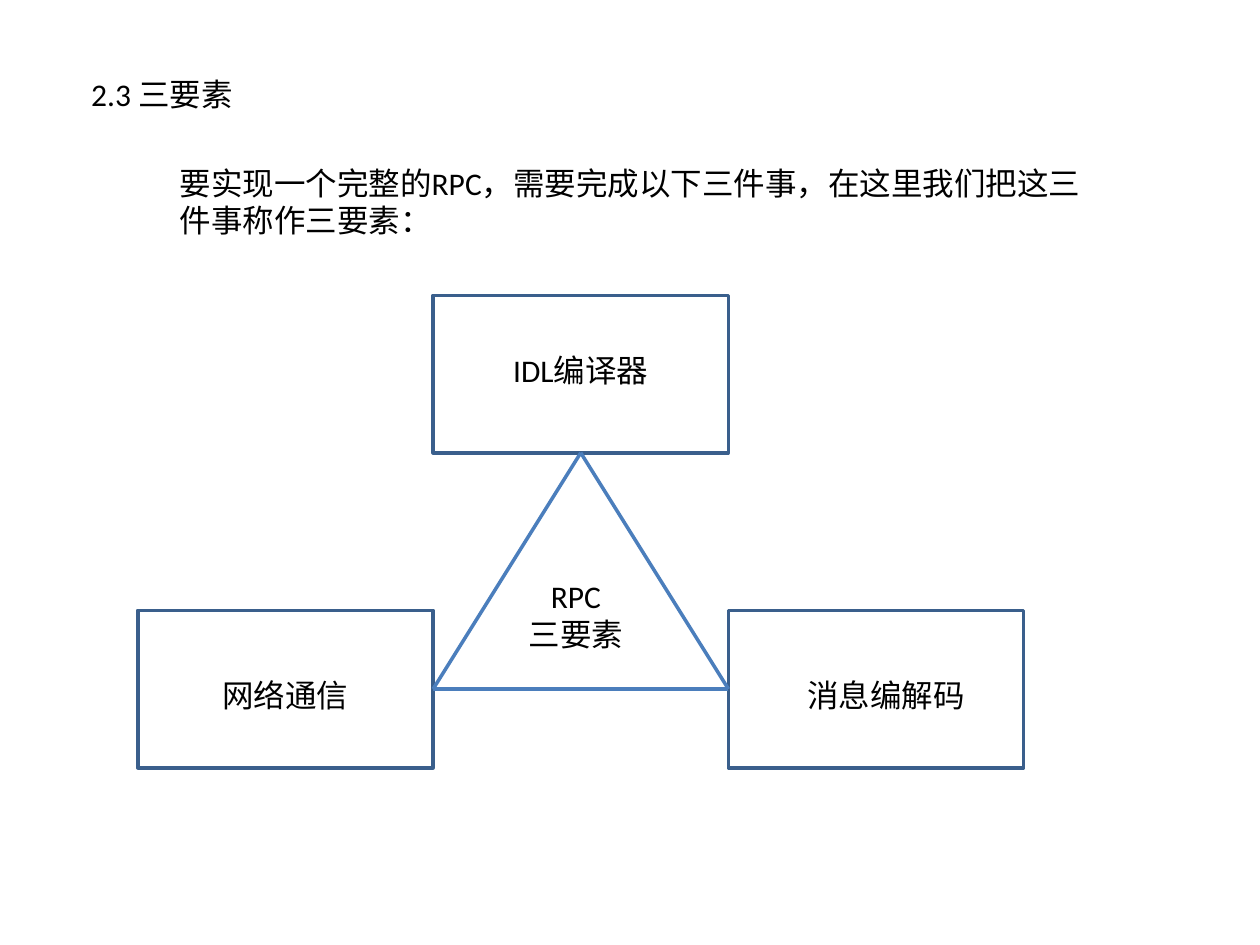
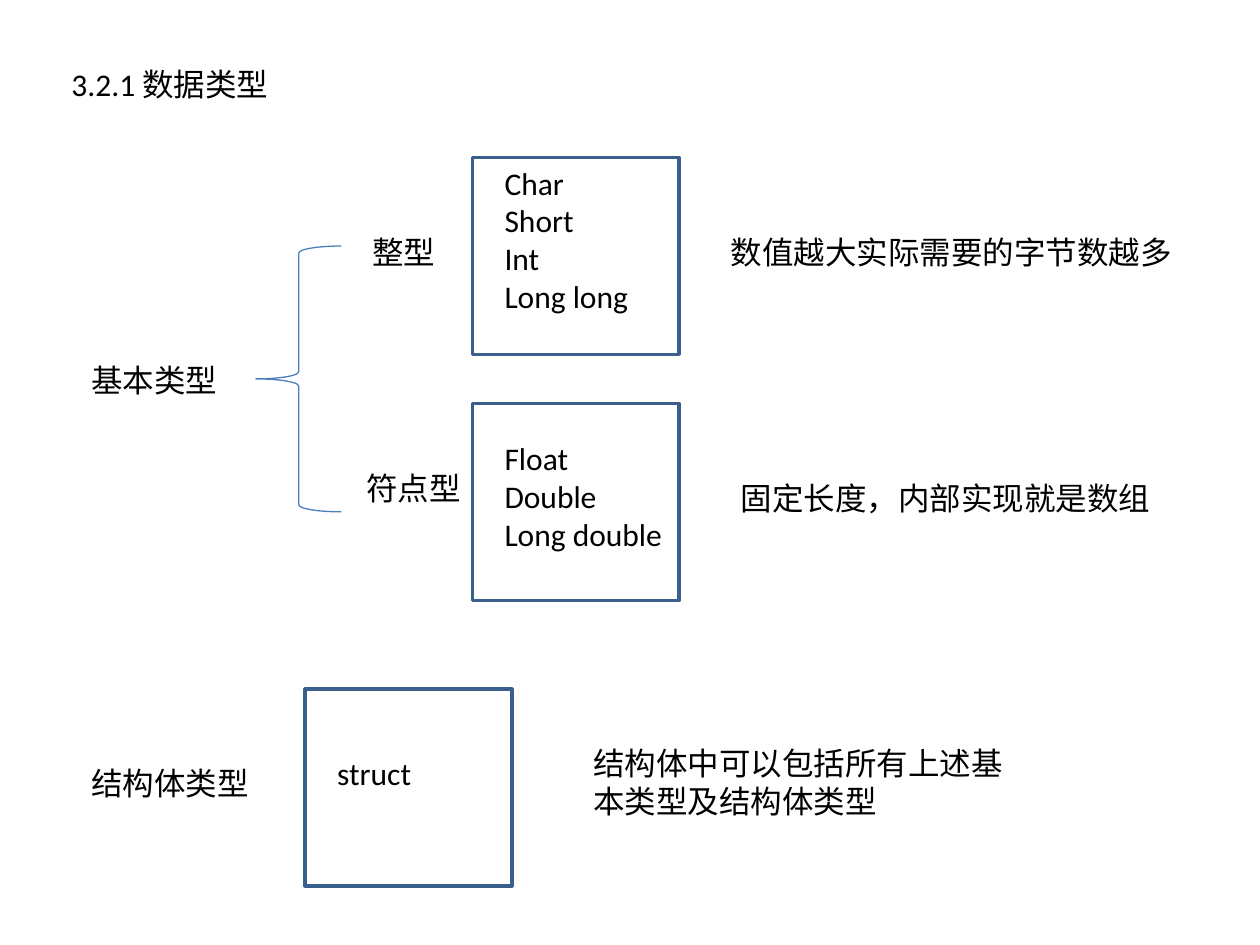
from pptx import Presentation
from pptx.dml.color import RGBColor
from pptx.enum.shapes import MSO_CONNECTOR, MSO_SHAPE
from pptx.enum.text import MSO_AUTO_SIZE, PP_ALIGN
from pptx.util import Pt
from lxml import etree

PX = 914400 / 128  # 128 px to the inch
WIDE, HIGH = 1280, 960
FONT, SIZE = "Calibri", 18
LINE, PAD = 39, 12  # text line height, top plus bottom inset
COLORS = {"text": "000000", "edge": "3A5F8C", "link": "4B7EBC", "back": "FFFFFF"}
NS = "http://schemas.openxmlformats.org/drawingml/2006/main"

# Slide 1: the three elements of RPC
CARD = (300, 160)
CARDS = [(440, 300), (140, 620), (740, 620)]
# text, left, top, width, lines, centred
ITEMS = [
    ("2.3 三要素", 80, 70, 260, 1, False),
    ("要实现一个完整的RPC，需要完成以下三件事，在这里我们把这三件事称作三要素：",
     170, 160, 960, 2, False),
    ("IDL编译器", 490, 350, 200, 1, True),
    ("网络通信", 190, 680, 200, 1, True),
    ("消息编解码", 800, 680, 200, 1, True),
    ("RPC\n三要素", 520, 580, 130, 2, True),
]

# Slide 2: data types
FRAME = (210, 200)
FRAMES = [(480, 160), (480, 410), (310, 700)]
BRACE = (260, 250, 87, 270)
TYPES = [
    ("3.2.1 数据类型", 60, 60, 300, 1, False),
    ("Char\nShort\nInt\nLong long", 500, 160, 220, 4, False),
    ("Float\nDouble\nLong double", 500, 440, 220, 3, False),
    ("整型", 350, 230, 120, 1, True),
    ("符点型", 350, 470, 140, 1, True),
    ("数值越大实际需要的字节数越多", 730, 230, 480, 1, False),
    ("固定长度，内部实现就是数组", 740, 480, 470, 1, False),
    ("基本类型", 80, 360, 170, 1, False),
    ("结构体类型", 80, 770, 220, 1, False),
    ("struct", 330, 760, 120, 1, False),
    ("结构体中可以包括所有上述基本类型及结构体类型", 590, 750, 470, 2, False),
]


def emu(*nums):
    return [round(n * PX) for n in nums]


def color(key):
    return RGBColor.from_string(COLORS[key])


def stroke(line, key, width):
    line.color.rgb = color(key)
    line.width = Pt(width)


def page(deck):
    slide = deck.slides.add_slide(deck.slide_layouts[6])
    slide.background.fill.solid()
    slide.background.fill.fore_color.rgb = color("back")
    return slide


def label(slide, text, left, top, width, lines, mid):
    box = slide.shapes.add_textbox(*emu(left, top, width, lines * LINE + PAD))
    frame = box.text_frame
    frame.word_wrap = True
    frame.auto_size = MSO_AUTO_SIZE.SHAPE_TO_FIT_TEXT
    frame.text = text
    for para in frame.paragraphs:
        para.alignment = PP_ALIGN.CENTER if mid else PP_ALIGN.LEFT
        for run in para.runs:
            run.font.name = FONT
            run.font.size = Pt(SIZE)
            run.font.color.rgb = color("text")


def outline(slide, kind, rect, key, width):
    shape = slide.shapes.add_shape(kind, *emu(*rect))
    shape.shadow.inherit = False
    shape.fill.background()
    stroke(shape.line, key, width)


def link(slide, start, end):
    wire = slide.shapes.add_connector(MSO_CONNECTOR.STRAIGHT, *emu(*start, *end))
    stroke(wire.line, "link", 2)
    etree.SubElement(wire._element.spPr, f"{{{NS}}}effectLst")


def fill(slide, spots, size, texts):
    for spot in spots:
        outline(slide, MSO_SHAPE.RECTANGLE, spot + size, "edge", 2)
    for text in texts:
        label(slide, *text)


def main():
    deck = Presentation()
    deck.slide_width, deck.slide_height = emu(WIDE, HIGH)

    # Three cards joined by a triangle
    slide = page(deck)
    fill(slide, CARDS, CARD, ITEMS)
    (x, y), (_, low), (right, _) = CARDS
    wide, high = CARD
    base = low + high // 2
    tips = [(x, base), (x + wide // 2, y + high), (right, base)]
    for start, end in zip(tips, tips[1:] + tips[:1]):
        link(slide, start, end)

    # Type tree with a brace
    slide = page(deck)
    fill(slide, FRAMES, FRAME, TYPES)
    outline(slide, MSO_SHAPE.LEFT_BRACE, BRACE, "link", 0.75)

    deck.save("out.pptx")


if __name__ == "__main__":
    main()
